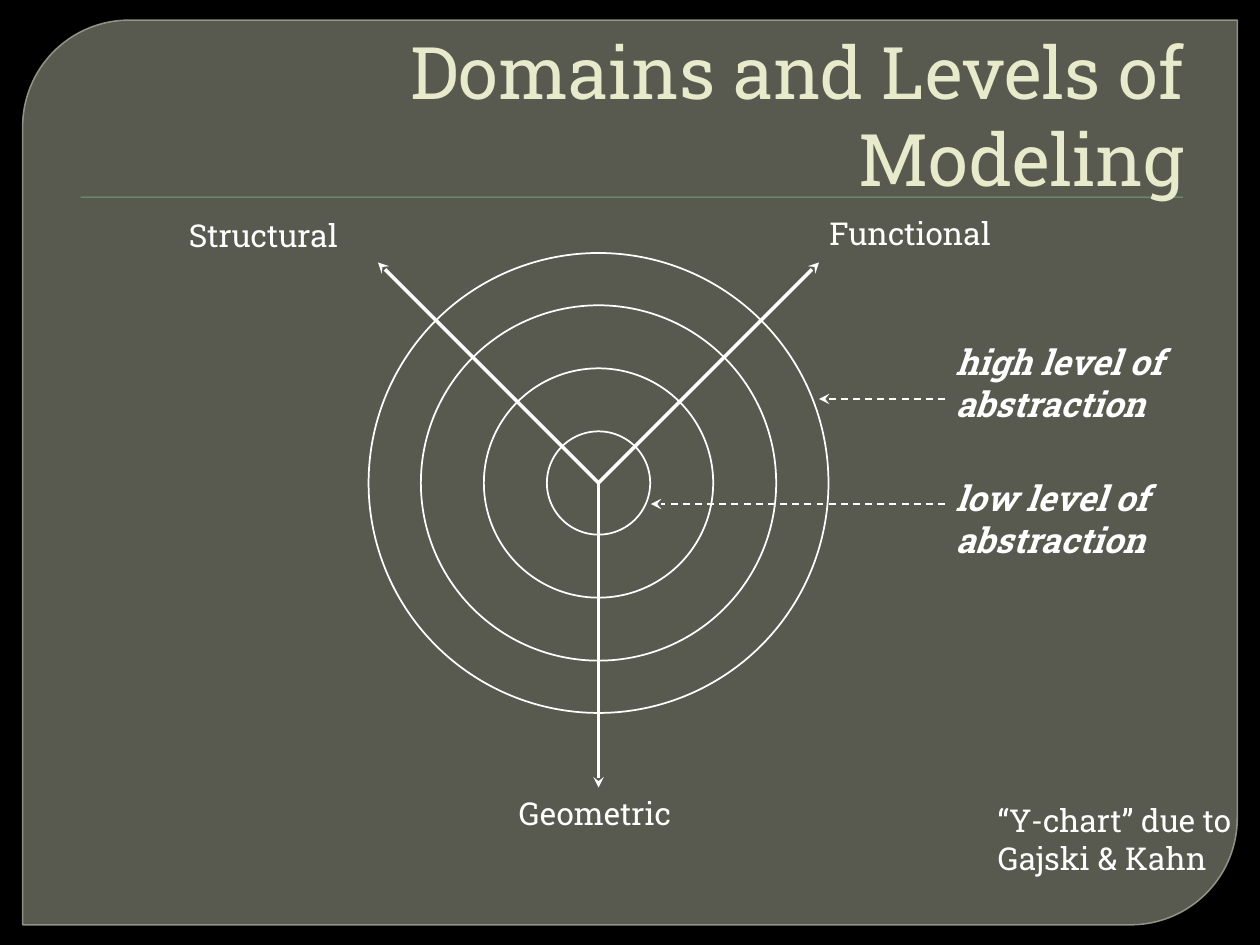
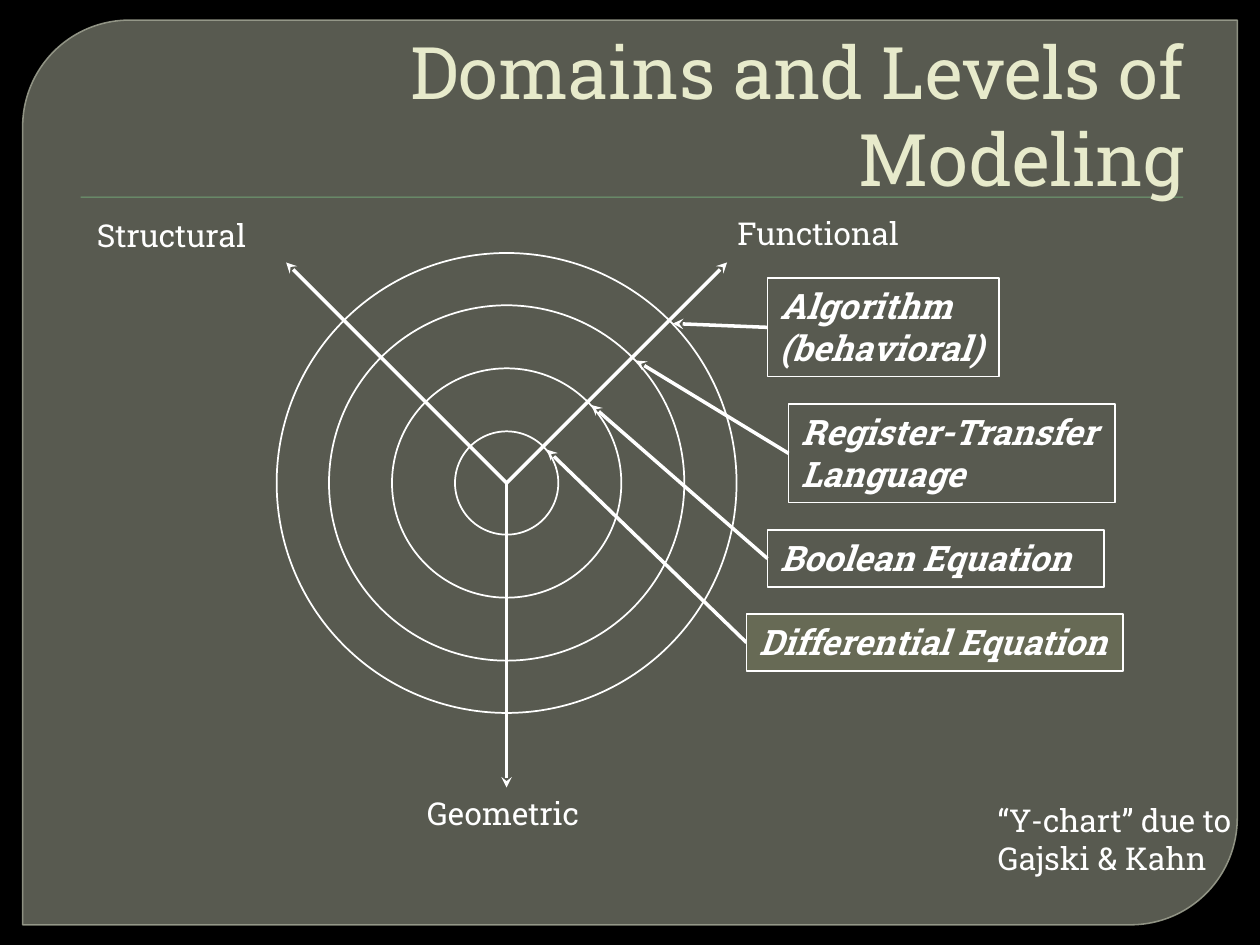
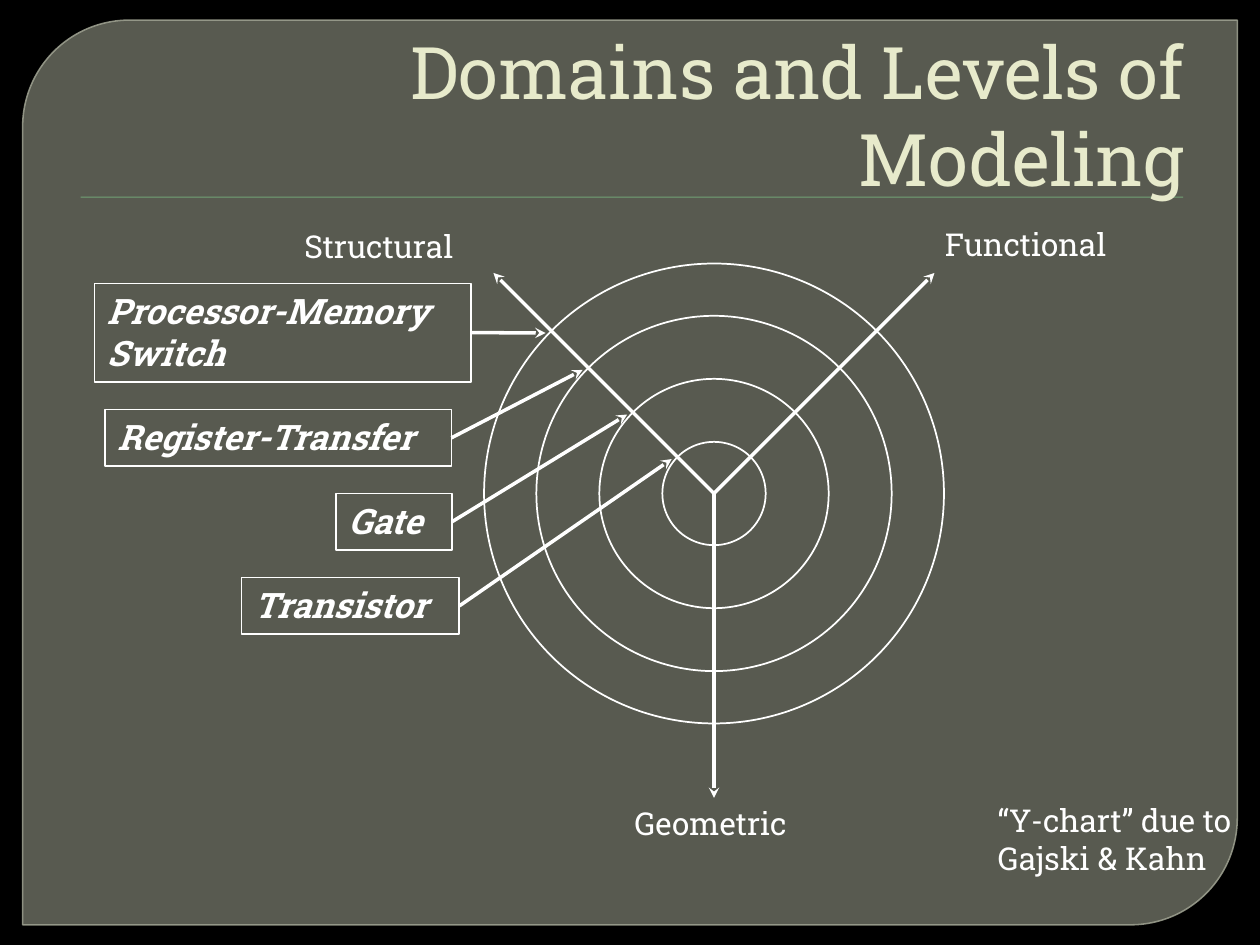
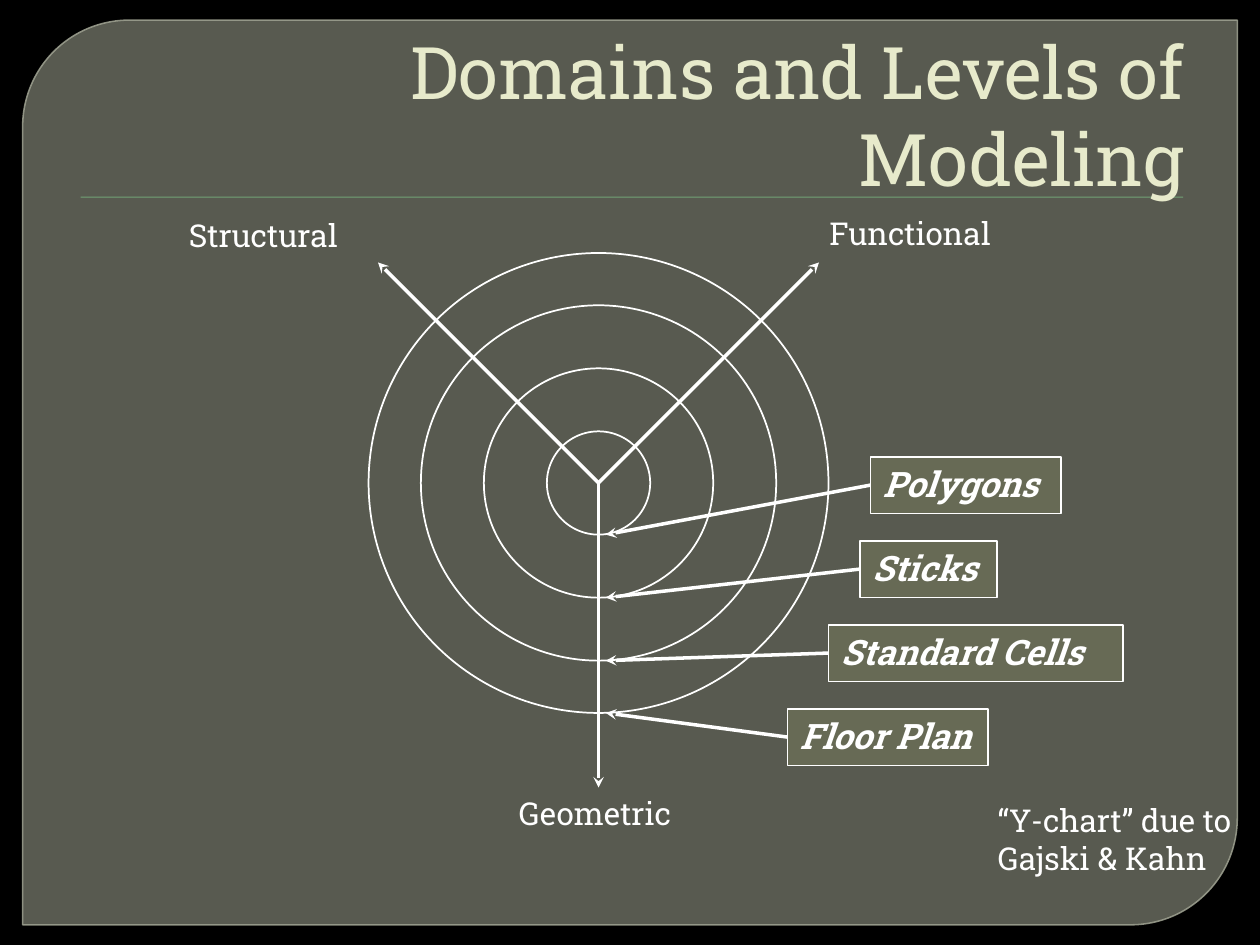
from lxml import etree
from pptx import Presentation, util as u
from pptx.dml.color import RGBColor
from pptx.enum import dml, shapes, text
from pptx.oxml.ns import qn

COLORS = {"back": "000000", "panel": "888B7B", "panel_edge": "9DA090", "rule": "72A376",
          "title": "E7EACB", "ink": "FFFFFF", "box": "676A55"}
FONT = "Roboto Slab"
COLS, ROWS = 120, 90                      # grid cells across and down the slide
RINGS = (21.9, 16.92, 10.92, 4.92)        # radii in cells, outermost first
DIAGONAL = 0.5 ** 0.5
# Each domain: unit direction of its axis, and the gap between axis and callout tips
DOMAINS = {"Functional": ((DIAGONAL, -DIAGONAL), (0.35, 0.3)),
           "Structural": ((-DIAGONAL, -DIAGONAL), (-0.55, 0.2)),
           "Geometric": ((0, 1), (0.7, 0))}


def color(name):
    return RGBColor.from_string(COLORS[name])


class Deck:
    def __init__(self):
        self.prs = Presentation()
        self.prs.slide_width, self.prs.slide_height = u.Inches(10), u.Inches(7.5)
        self.layout = self.prs.slide_layouts[5]
        self.s = None

    def x(self, cols):
        return round(self.prs.slide_width * cols / COLS)

    def y(self, rows):
        return round(self.prs.slide_height * rows / ROWS)

    def area(self, left, top, width, height):
        return self.x(left), self.y(top), self.x(width), self.y(height)

    # Shared look
    def style_layout(self):
        fill = self.layout.background.fill
        fill.solid()
        fill.fore_color.rgb = color("back")
        title, *others = self.layout.placeholders
        for ph in others:
            ph.element.getparent().remove(ph.element)
        title.left, title.top, title.width, title.height = self.area(6, 3.36, 108, 15)
        self.s = self.prs.slides.add_slide(self.layout)
        panel = self.shape(shapes.MSO_SHAPE.ROUND_2_DIAG_RECTANGLE, (2.16, 1.92, 115.68, 86.16),
                           "panel", "panel_edge", 0.87)
        panel.adjustments[0], panel.adjustments[1] = 0.118, 0
        for clr, share in zip(panel.element.spPr.iter(qn("a:srgbClr")), (65, 88)):
            etree.SubElement(clr, qn("a:alpha")).set("val", str(share * 1000))
        rule = self.shape(shapes.MSO_SHAPE.RECTANGLE, (7.68, 18.72, 105, 0.12), "rule", None)
        for i, sp in enumerate((panel, rule)):
            self.layout.shapes.element.insert(2 + i, sp.element)

    def slide(self, title, first=False):
        if not first:
            self.s = self.prs.slides.add_slide(self.layout)
        tf = self.s.shapes.title.text_frame
        tf.text = title
        tf.auto_size = text.MSO_AUTO_SIZE.NONE
        tf.vertical_anchor = text.MSO_ANCHOR.MIDDLE
        self.style(tf, 41.4, "title", text.PP_ALIGN.RIGHT)

    # Elements
    def style(self, tf, size, ink="ink", align=text.PP_ALIGN.LEFT, strong=False):
        for p in tf.paragraphs:
            p.alignment = align
            for r in p.runs:
                r.font.name, r.font.size = FONT, u.Pt(size)
                r.font.color.rgb = color(ink)
                r.font.bold = r.font.italic = strong

    def shape(self, kind, area, fill=None, line="ink", weight=1):
        sp = self.s.shapes.add_shape(kind, *self.area(*area))
        sp.shadow.inherit = False
        for part, name in ((sp.fill, fill), (sp.line.fill, line)):
            if name:
                part.solid()
                part.fore_color.rgb = color(name)
            else:
                part.background()
        if line:
            sp.line.width = u.Pt(weight)
        return sp

    def set_text(self, sp, words, size, wrap=True, **style):
        tf = sp.text_frame
        tf.text = words
        tf.word_wrap = wrap
        tf.auto_size = text.MSO_AUTO_SIZE.SHAPE_TO_FIT_TEXT
        tf.vertical_anchor = text.MSO_ANCHOR.TOP
        self.style(tf, size, **style)

    def label(self, words, area, size=18, **style):
        self.set_text(self.s.shapes.add_textbox(*self.area(*area)), words, size, **style)

    def arrow(self, start, end, weight=2, dashed=False):
        cn = self.s.shapes.add_connector(shapes.MSO_CONNECTOR.STRAIGHT, self.x(start[0]),
                                         self.y(start[1]), self.x(end[0]), self.y(end[1]))
        cn.line.color.rgb = color("ink")
        cn.line.width = u.Pt(weight)
        if dashed:
            cn.line.dash_style = dml.MSO_LINE.DASH
        spPr = cn.element.spPr
        etree.SubElement(spPr.find(qn("a:ln")), qn("a:tailEnd")).set("type", "stealth")
        etree.SubElement(spPr, qn("a:effectLst"))

    # Y-chart: three axes over concentric rings
    def y_chart(self, cx, cy):
        for dx, dy in ((21, -21), (-21, -21), (0, 29)):
            self.arrow((cx, cy), (cx + dx, cy + dy))
        for r in RINGS:
            self.shape(shapes.MSO_SHAPE.OVAL, (cx - r, cy - r, 2 * r, 2 * r))
        self.label("Functional", (cx + 20.8, cy - 26.2, 19.44, 6), wrap=False)
        self.label("Structural", (cx - 40.2, cy - 26, 18.12, 6), wrap=False)
        self.label("Geometric", (cx - 10, cy + 29, 19.32, 6), wrap=False,
                   align=text.PP_ALIGN.CENTER)
        self.label("“Y-chart” due to Gajski & Kahn", (93.84, 75.72, 25.2, 8.4))

    # Boxed names, each pointing at the crossing of a ring and the domain's axis
    def callouts(self, center, domain, rings, boxes):
        (ux, uy), (gap_x, gap_y) = DOMAINS[domain]
        for r, (words, left, top, width, fill) in zip(rings, boxes):
            height = 9.36 if "\v" in words else 5.4
            tip = center[0] + r * ux + gap_x, center[1] + r * uy + gap_y
            edge = left if left > center[0] else left + width
            self.arrow((edge, top + height / 2), tip)
            sp = self.shape(shapes.MSO_SHAPE.RECTANGLE, (left, top, width, height), fill)
            self.set_text(sp, words, 20, strong=True)


TITLE = "Domains and Levels of Modeling"
# Words, left, top, width (cells) and fill of each callout, in ring order
CALLOUT_SLIDES = [
    ((48.25, 46), "Functional", RINGS, [
        ("Algorithm\v(behavioral)", 73.1, 26.5, 22.08, None),
        ("Register-Transfer\vLanguage", 75.1, 38.5, 31.08, None),
        ("Boolean Equation", 73.1, 50.5, 32.04, None),
        ("Differential Equation", 71.1, 58.5, 35.88, "box")]),
    ((68, 47), "Structural", RINGS, [
        ("Processor-Memory\vSwitch", 9, 27, 35.88, None),
        ("Register-Transfer", 10, 39, 33, None),
        ("Gate", 32, 47, 11.04, None),
        ("Transistor", 23, 55, 20.76, None)]),
    ((57, 46), "Geometric", RINGS[::-1], [
        ("Polygons", 82.9, 43.5, 18.12, "box"),
        ("Sticks", 81.9, 51.5, 13.08, "box"),
        ("Standard Cells", 78.9, 59.5, 28.08, "box"),
        ("Floor Plan", 75, 67.5, 19.08, "box")]),
]


def main():
    deck = Deck()
    deck.style_layout()

    # Levels of abstraction
    deck.slide(TITLE, first=True)
    deck.y_chart(57, 46)
    for words, top, tip in (("high level of abstraction", 31.8, (78, 38)),
                            ("low level of abstraction", 44.76, (62, 48))):
        deck.arrow((90, tip[1]), tip, weight=1, dashed=True)
        deck.label(words, (89.8, top, 23.16, 9.24), 20, strong=True)

    # One slide for each domain
    for center, domain, rings, boxes in CALLOUT_SLIDES:
        deck.slide(TITLE)
        deck.y_chart(*center)
        deck.callouts(center, domain, rings, boxes)

    deck.prs.save("out.pptx")


if __name__ == "__main__":
    main()
